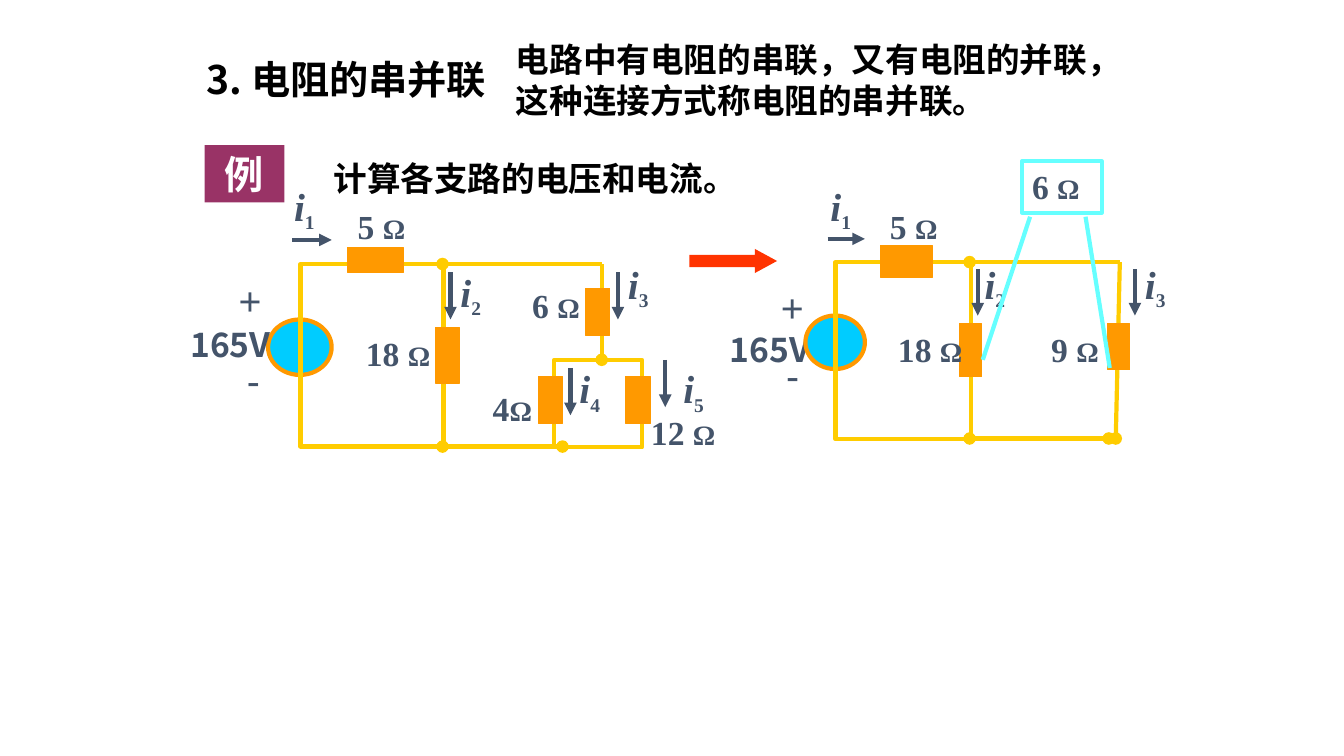
from typing import NamedTuple

from lxml import etree
from pptx import Presentation
from pptx.dml.color import RGBColor
from pptx.enum import shapes, text
from pptx.oxml import ns
from pptx.util import Pt

COLORS = {
    "black": "000000", "white": "FFFFFF", "badge": "993366", "label": "44546A",
    "wire": "FFCC00", "resistor": "FF9900", "source": "00CCFF",
    "step": "FF3300", "callout": "66FFFF",
}
SANS, CJK, SERIF = "Arial", "Noto Sans CJK SC", "Times New Roman"
LINE_WIDTH = 3


class Box(NamedTuple):
    left: float
    top: float
    width: float
    height: float


class Line(NamedTuple):
    x1: float
    y1: float
    x2: float
    y2: float
    head: str = ""
    tail: str = ""


class Piece(NamedTuple):
    text: str
    size: float
    italic: bool = False
    baseline: int = 0


class Label(NamedTuple):
    box: Box
    pieces: list[Piece]
    font: str = SERIF
    color: str = "label"
    bold: bool = True
    wrap: bool = True


class Circuit(NamedTuple):
    source: Box
    loops: list[Box]
    wires: list[Line]
    resistors: list[Box]
    arrows: list[Line]
    labels: list[Label]


# Label builders
def current(index: int, left: float, top: float) -> Label:
    pieces = [Piece("i", 28, italic=True), Piece(str(index), 24, baseline=-25000)]
    return Label(Box(left, top, 30.2, 41), pieces, wrap=False)


def resistance(value: str, left: float, top: float, width: float, height: float = 36) -> Label:
    return Label(Box(left, top, width, height), [Piece(value, 24), Piece("Ω", 20)])


def polarity(sign: str, left: float, top: float, width: float) -> Label:
    return Label(Box(left, top, width, 41), [Piece(sign, 28)], SANS, bold=False)


def voltage(left: float, top: float, width: float) -> Label:
    return Label(Box(left, top, width, 36), [Piece("165V", 24)], CJK)


def arrow(x: float, y: float, right: float = 0, down: float = 0) -> Line:
    return Line(x, y, x + right, y + down, tail="triangle")


# Drawing
def rgb(name: str) -> RGBColor:
    return RGBColor.from_string(COLORS[name])


def write(shape, label: Label, centered: bool = False) -> None:
    frame = shape.text_frame
    frame.word_wrap = label.wrap
    frame.vertical_anchor = text.MSO_ANCHOR.TOP
    paragraph = frame.paragraphs[0]
    paragraph.alignment = text.PP_ALIGN.CENTER if centered else text.PP_ALIGN.LEFT
    font = paragraph.font
    font.name, font.bold = label.font, label.bold
    font.color.rgb = rgb(label.color)
    defaults = paragraph._p.pPr.find(ns.qn("a:defRPr"))
    etree.SubElement(defaults, ns.qn("a:ea")).set("typeface", CJK)
    if len(label.pieces) == 1:
        font.size = Pt(label.pieces[0].size)
    for piece in label.pieces:
        run = paragraph.add_run()
        run.text = piece.text
        if len(label.pieces) > 1:
            run.font.size = Pt(piece.size)
        if piece.italic:
            run.font.italic = True
        if piece.baseline:
            run._r.get_or_add_rPr().set("baseline", str(piece.baseline))


def add_label(slide, label: Label) -> None:
    write(slide.shapes.add_textbox(*map(Pt, label.box)), label)


def add_box(slide, kind, box: Box, fill: str = "", line: str = "", width: float = LINE_WIDTH):
    shape = slide.shapes.add_shape(kind, *map(Pt, box))
    shape.shadow.inherit = False
    if fill:
        shape.fill.solid()
        shape.fill.fore_color.rgb = rgb(fill)
    else:
        shape.fill.background()
    if line:
        shape.line.color.rgb = rgb(line)
        shape.line.width = Pt(width)
    else:
        shape.line.fill.background()
    return shape


def add_line(slide, line: Line, color: str) -> None:
    connector = slide.shapes.add_connector(
        shapes.MSO_CONNECTOR.STRAIGHT, *map(Pt, (line.x1, line.y1, line.x2, line.y2)))
    connector.line.color.rgb = rgb(color)
    connector.line.width = Pt(LINE_WIDTH)
    for tag, kind in (("a:headEnd", line.head), ("a:tailEnd", line.tail)):
        if kind:
            etree.SubElement(connector.line._ln, ns.qn(tag)).set("type", kind)
    etree.SubElement(connector._element.spPr, ns.qn("a:effectLst"))


def add_circuit(slide, circuit: Circuit) -> None:
    add_box(slide, shapes.MSO_SHAPE.OVAL, circuit.source, "source", "resistor")
    for loop in circuit.loops:
        add_box(slide, shapes.MSO_SHAPE.RECTANGLE, loop, line="wire")
    for wire in circuit.wires:
        add_line(slide, wire, "wire")
    for resistor in circuit.resistors:
        add_box(slide, shapes.MSO_SHAPE.RECTANGLE, resistor, "resistor", "resistor", 0.75)
    for pointer in circuit.arrows:
        add_line(slide, pointer, "label")
    for label in circuit.labels:
        add_label(slide, label)


HEADINGS = [
    Label(Box(140.4, 36, 244.1, 41), [Piece("3. 电阻的串并联", 28)], CJK, "black"),
    Label(Box(361.4, 24.5, 436.3, 65.5),
          [Piece("电路中有电阻的串联，又有电阻的并联，这种连接方式称电阻的串并联。", 24)], SANS, "black"),
    Label(Box(231.1, 109.4, 340.6, 36), [Piece("计算各支路的电压和电流。", 24)], SANS, "black"),
]
BADGE = Label(Box(146.2, 103.7, 56.9, 41), [Piece("例", 28)], SERIF, "white")

FULL_CIRCUIT = Circuit(
    source=Box(191.5, 228.2, 45.4, 39.6),
    loops=[Box(214.6, 188.6, 102.2, 130.3), Box(396, 257, 62.6, 62.6)],
    wires=[Line(316.1, 188.6, 429.8, 188.6, head="oval"),
           Line(429.8, 188.6, 429.8, 257, tail="oval"),
           Line(316.1, 319, 401.8, 319, "oval", "oval")],
    resistors=[Box(248.4, 177.1, 39.6, 17.3), Box(384.5, 268.6, 17.3, 33.8),
               Box(311, 234, 17.3, 39.6), Box(418.3, 205.9, 17.3, 33.8),
               Box(447.1, 268.6, 17.3, 33.8)],
    arrows=[arrow(208.8, 171.4, right=28.1), arrow(321.8, 194.4, down=33.8),
            arrow(475.2, 257, down=33.8), arrow(407.5, 262.8, down=33.8),
            arrow(441.4, 194.4, down=33.8)],
    labels=[polarity("+", 163.4, 193.7, 33.8), polarity("-", 169.2, 251.3, 33.8),
            current(1, 203, 126.7), current(2, 321.8, 187.9), current(3, 441.4, 182.2),
            current(4, 406.8, 257), current(5, 481, 257),
            resistance("18 ", 254.2, 234, 67.7), resistance("6 ", 373, 200.2, 56.9),
            resistance("5 ", 248.4, 143.3, 56.9), resistance("4", 344.9, 273.6, 45.4),
            resistance("12 ", 457.9, 290.9, 62.6), voltage(128.9, 228.2, 73.4)],
)
REDUCED_CIRCUIT = Circuit(
    source=Box(575.3, 225.4, 42.5, 38.2),
    loops=[Box(596.9, 187.2, 96.5, 126.7)],
    wires=[Line(692.6, 187.2, 799.9, 187.2, head="oval"),
           Line(799.9, 187.2, 797, 313.2, tail="oval"),
           Line(692.6, 313.2, 792, 313.2, "oval", "oval")],
    resistors=[Box(628.6, 175.7, 37.4, 16.6), Box(628.6, 181.4, 37.4, 16.6),
               Box(685.4, 231.1, 15.8, 38.2), Box(791.3, 231.1, 15.8, 33.1)],
    arrows=[arrow(591.1, 170.6, right=26.7), arrow(698.4, 192.2, down=33.2),
            arrow(810.7, 192.2, down=33.2)],
    labels=[polarity("+", 550.8, 198.7, 31.7), polarity("-", 554.4, 247.7, 31.7),
            current(1, 586.1, 126.7), current(2, 696.2, 182.2), current(3, 810.7, 182.2),
            resistance("18 ", 634.3, 231.1, 64.1), resistance("9 ", 743.8, 231.1, 53.3),
            resistance("5 ", 628.6, 143.3, 53.3)],
)
CALLOUT = resistance("6 ", 730.1, 115.2, 56.9, 36.7)
CALLOUT_LINES = [Line(792.7, 262.8, 775.4, 154.8), Line(702, 257, 735.8, 154.8)]


def main() -> None:
    presentation = Presentation()
    presentation.slide_width, presentation.slide_height = Pt(960), Pt(540)
    slide = presentation.slides.add_slide(presentation.slide_layouts[6])

    # Headings and example badge
    for heading in HEADINGS:
        add_label(slide, heading)
    badge = add_box(slide, shapes.MSO_SHAPE.RECTANGLE, BADGE.box, "badge")
    write(badge, BADGE, centered=True)

    # Circuits; the right source covers the end of its voltage label
    add_circuit(slide, FULL_CIRCUIT)
    step = add_box(slide, shapes.MSO_SHAPE.RIGHT_ARROW, Box(492.5, 177.8, 62.6, 17.3), "step")
    step.adjustments[1] = 0.92
    add_label(slide, voltage(514.1, 231.1, 74.9))
    add_circuit(slide, REDUCED_CIRCUIT)

    # Equivalent resistance callout
    for line in CALLOUT_LINES:
        add_line(slide, line, "callout")
    write(add_box(slide, shapes.MSO_SHAPE.RECTANGLE, CALLOUT.box, line="callout"), CALLOUT)

    presentation.save("out.pptx")


if __name__ == "__main__":
    main()
